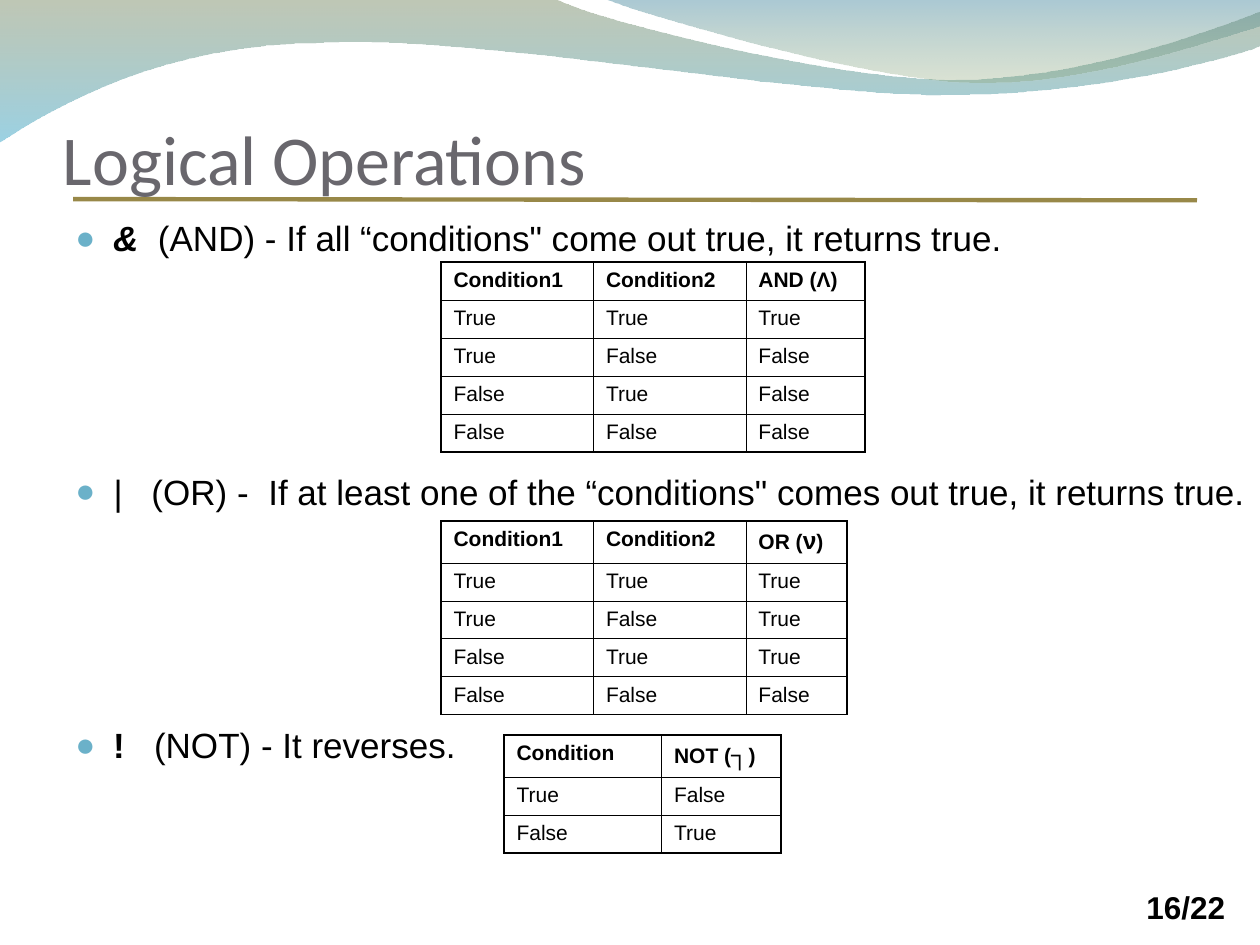
from dataclasses import dataclass

from lxml import etree
from pptx import Presentation
from pptx import util as u
from pptx.dml.color import RGBColor as Rgb
from pptx.enum import shapes, text
from pptx.oxml.ns import qn

COLS, ROWS = 100, 75
UNIT = u.Inches(10) // COLS  # side of one square grid cell


@dataclass(frozen=True)
class Theme:
    ink: str = "000000"
    title: str = "69676D"
    rule: str = "988848"
    dot: str = "6BB1C9"
    body: str = "Arial"
    head: str = "Calibri"
    title_pt: int = 40
    list_pt: int = 20
    page_pt: int = 18
    cell_pt: int = 12
    sign_pt: int = 14
    thick: float = 1.08
    thin: float = 0.45


T = Theme()


def grid(*vals):
    return [round(v * UNIT) for v in vals]


def style(font, name, size, color, bold=False):
    font.name, font.size, font.bold = name, u.Pt(size), bold
    font.color.rgb = Rgb.from_string(color)


def sub(node, tag, **attrs):
    return etree.SubElement(node, qn(tag), attrs)


def bend(band, moves):
    """Join each run of three line segments that stands for a curve."""
    segs = iter(list(band.element.iter(qn("a:lnTo"))))
    for move in moves:
        group = [next(segs) for _ in move]
        if len(group) == 3:
            curve = etree.Element(qn("a:cubicBezTo"))
            group[0].addprevious(curve)
            for seg in group:
                curve.append(seg[0])
                seg.getparent().remove(seg)


def wave(slide, box, start, moves, stops):
    """Closed band; a move holds one point (line) or three (curve), from the box's corner."""
    pts = [start] + [pt for move in moves for pt in move]
    pts = [grid(box[0] + x, box[1] + y) for x, y in pts]
    form = slide.shapes.build_freeform(*pts[0])
    form.add_line_segments(pts[1:], close=True)
    band = form.convert_to_shape()
    bend(band, moves)
    band.shadow.inherit = False
    band.line.fill.background()
    band.fill.gradient()
    band.fill.gradient_angle = 270
    for stop, (pos, color, _) in zip(band.fill.gradient_stops, stops):
        stop.position, stop.color.rgb = pos, Rgb.from_string(color)
    for node, (_, _, share) in zip(band.element.iter(qn("a:srgbClr")), stops):
        sub(node, "a:alpha", val=str(share * 1000))


def header(slide, box):
    x, y = box
    wave(slide, (x - 0.1, y - 0.1), (0.1, 0), [
        [(44.1, 0)],
        [(47.7, 1.8), (66.5, 6.4), (75.9, 6.4)],
        [(85.4, 6.4), (95.9, 2.7), (100.1, 1)],
        [(100.2, 3.7)],
        [(98.4, 4.5), (87.1, 7.7), (74.7, 7.6)],
        [(62.3, 7.6), (38.3, 2.9), (25.8, 3.5)],
        [(13, 3.6), (4.7, 8.4), (0, 11.4)],
    ], [(0, "72845C", 45), (1, "49ACCD", 55)])
    wave(slide, (x + 47.9, y - 0.1), (0, 0), [
        [(3, 1.2), (20.3, 6.3), (29, 6.6)],
        [(37.7, 7), (48.2, 3.3), (52.1, 2.2)],
        [(52.1, 0.1)],
    ], [(0, "42869E", 45), (1, "8AA26C", 30)])
    rule = slide.shapes.add_connector(
        shapes.MSO_CONNECTOR.STRAIGHT, *grid(x + 5.8, y + 15.8, x + 95, y + 15.9))
    rule.line.color.rgb = Rgb.from_string(T.rule)
    rule.line.width = u.Pt(2.5)
    sub(rule.element.spPr, "a:effectLst")


def frame(slide, box):
    body = slide.shapes.add_textbox(*grid(*box)).text_frame
    body.word_wrap = True
    return body


def title(slide, box, words):
    body = frame(slide, box)
    body.margin_left = body.margin_right = body.margin_bottom = 0
    body.vertical_anchor = text.MSO_ANCHOR.BOTTOM
    body.text = words
    style(body.paragraphs[0].font, T.head, T.title_pt, T.title)


def page(slide, box, words):
    body = frame(slide, box)
    body.text = words
    style(body.paragraphs[0].font, T.body, T.page_pt, T.ink, True)


def bullets(slide, box, items, gap):
    """List whose items hold runs of (words, tracking in points, bold, italic)."""
    body = frame(slide, box)
    for i, runs in enumerate(items):
        para = body.add_paragraph() if i else body.paragraphs[0]
        para.space_before = u.Pt(gap if i else 5)
        props = para._p.get_or_add_pPr()
        props.set("marL", str(u.Inches(0.3)))
        props.set("indent", str(-u.Inches(0.3)))
        sub(sub(props, "a:buClr"), "a:srgbClr", val=T.dot)
        sub(props, "a:buSzPct", val="95000")
        sub(props, "a:buFont", typeface=T.body)
        sub(props, "a:buChar", char="●")
        style(para.font, T.body, T.list_pt, T.ink)
        for words, track, bold, slant in runs:
            run = para.add_run()
            run.text = words
            run.font.bold, run.font.italic = bold, slant
            if track:
                run.font._element.set("spc", str(round(track * 100)))


def border(cell, edges):
    """Draw left, right, top and bottom edges, given in points."""
    props = cell._tc.get_or_add_tcPr()
    for i, (side, wide) in enumerate(zip("LRTB", edges)):
        line = etree.Element(qn("a:ln" + side), w=str(u.Pt(wide)))
        sub(sub(line, "a:solidFill"), "a:srgbClr", val=T.ink)
        props.insert(i, line)


def truth(slide, box, widths, head, rows, top=3.3, step=3):
    """Truth table at a corner; the last head is a list of (words, size) runs."""
    high = [top] + [step] * len(rows)
    shape = slide.shapes.add_table(
        len(high), len(widths), *grid(*box, sum(widths), sum(high)))
    table = shape.table
    table.first_row = table.horz_banding = False
    for col, wide in zip(table.columns, grid(*widths)):
        col.width = wide
    for row, tall in zip(table.rows, grid(*high)):
        row.height = tall
    last = len(high) - 1, len(widths) - 1
    for r, line in enumerate([head] + rows):
        for c, words in enumerate(line):
            cell = table.cell(r, c)
            cell.fill.background()
            cell.margin_left = cell.margin_right = u.Inches(0.1)
            para = cell.text_frame.paragraphs[0]
            style(para.font, T.body, T.cell_pt, T.ink, r == 0)
            runs = [(words, T.cell_pt)] if isinstance(words, str) else words
            for part, size in runs:
                run = para.add_run()
                run.text, run.font.size = part, u.Pt(size)
            ends = c == 0, c == last[1], r == 0, r == last[0]
            border(cell, [T.thick if end else T.thin for end in ends])


def signed(word, sign):
    return [(word + " (", T.cell_pt), (sign, T.sign_pt), (")", T.cell_pt)]


def logic(test, pairs):
    """Rows of inputs followed by the outcome of the test."""
    return [[str(v) for v in (*pair, test(*pair))] for pair in pairs]


def main():
    deck = Presentation()
    deck.slide_width, deck.slide_height = COLS * UNIT, ROWS * UNIT
    slide = deck.slides.add_slide(deck.slide_layouts[6])
    header(slide, (0, 0))
    page(slide, (90, 70, 9.2, 10), "16/22")
    title(slide, (5, 3.3, 90, 12.5), "Logical Operations")
    plain = False, False
    bullets(slide, (5, 16.7, 95, 53.3), [
        [("& ", 2.78, True, True),
         ("(AND) - If all “conditions\" come out true, it returns true.", 0, *plain)],
        [("| ", 5.56, False, True), ("(OR) ", 0, *plain), ("- ", 2.78, *plain),
         ("If at least one of the “conditions\" comes out true, it returns true.",
          0, *plain)],
        [("! ", 5.56, True, False), ("(NOT) - It reverses.", 0, *plain)],
    ], gap=120.8)
    both = [(a, b) for a in (True, False) for b in (True, False)]
    names = ["Condition1", "Condition2"]
    truth(slide, (35, 20.8), (12.1, 12.1, 9.45), names + ["AND (Λ)"],
          logic(lambda a, b: a and b, both), top=3.02, step=3.02)
    truth(slide, (35, 41.35), (12.1, 12.1, 8), names + [signed("OR", "ν")],
          logic(lambda a, b: a or b, both))
    truth(slide, (40, 58.35), (12.5, 9.5), ["Condition", signed("NOT", "┐")],
          logic(lambda a: not a, [(True,), (False,)]))
    deck.save("out.pptx")


if __name__ == "__main__":
    main()
